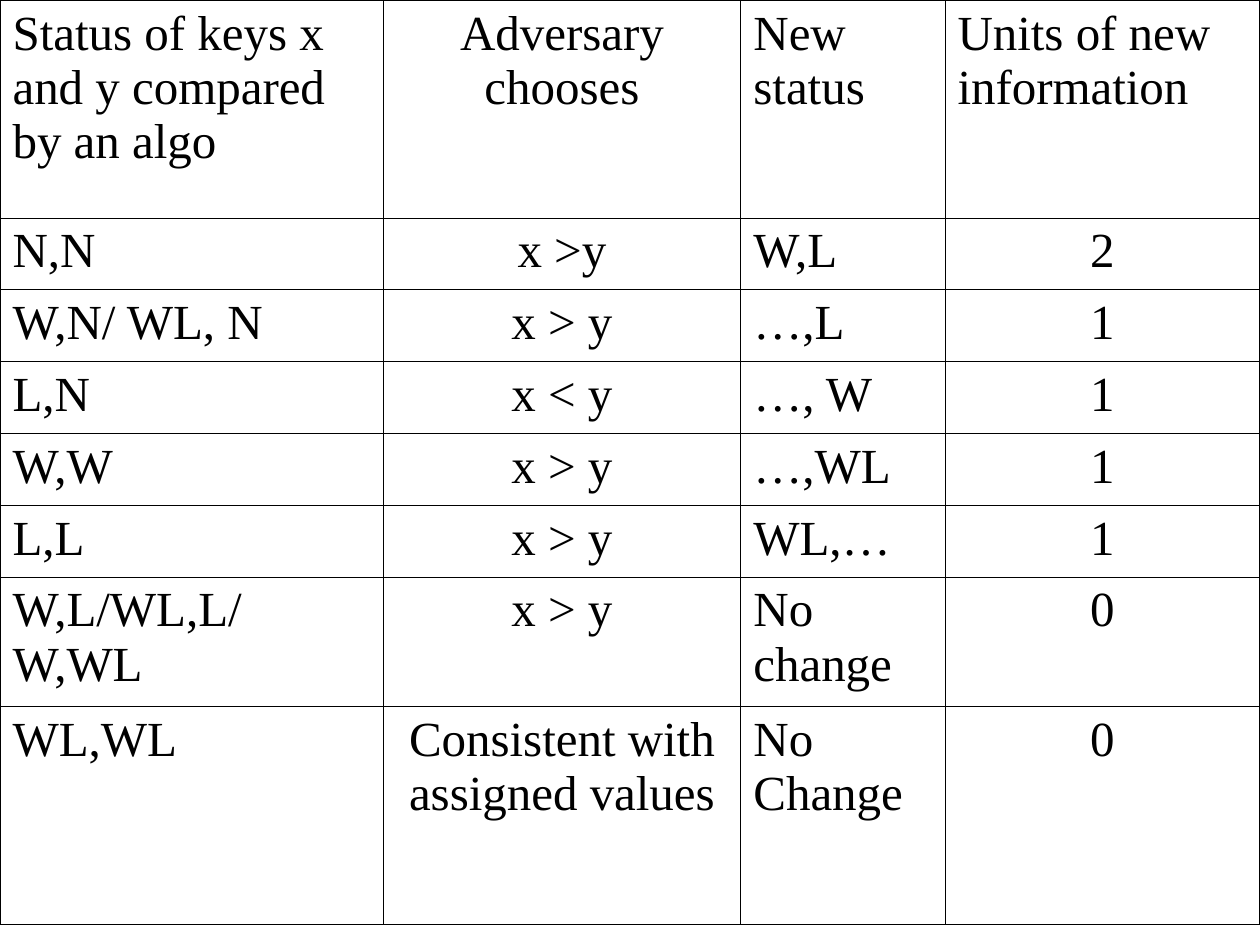
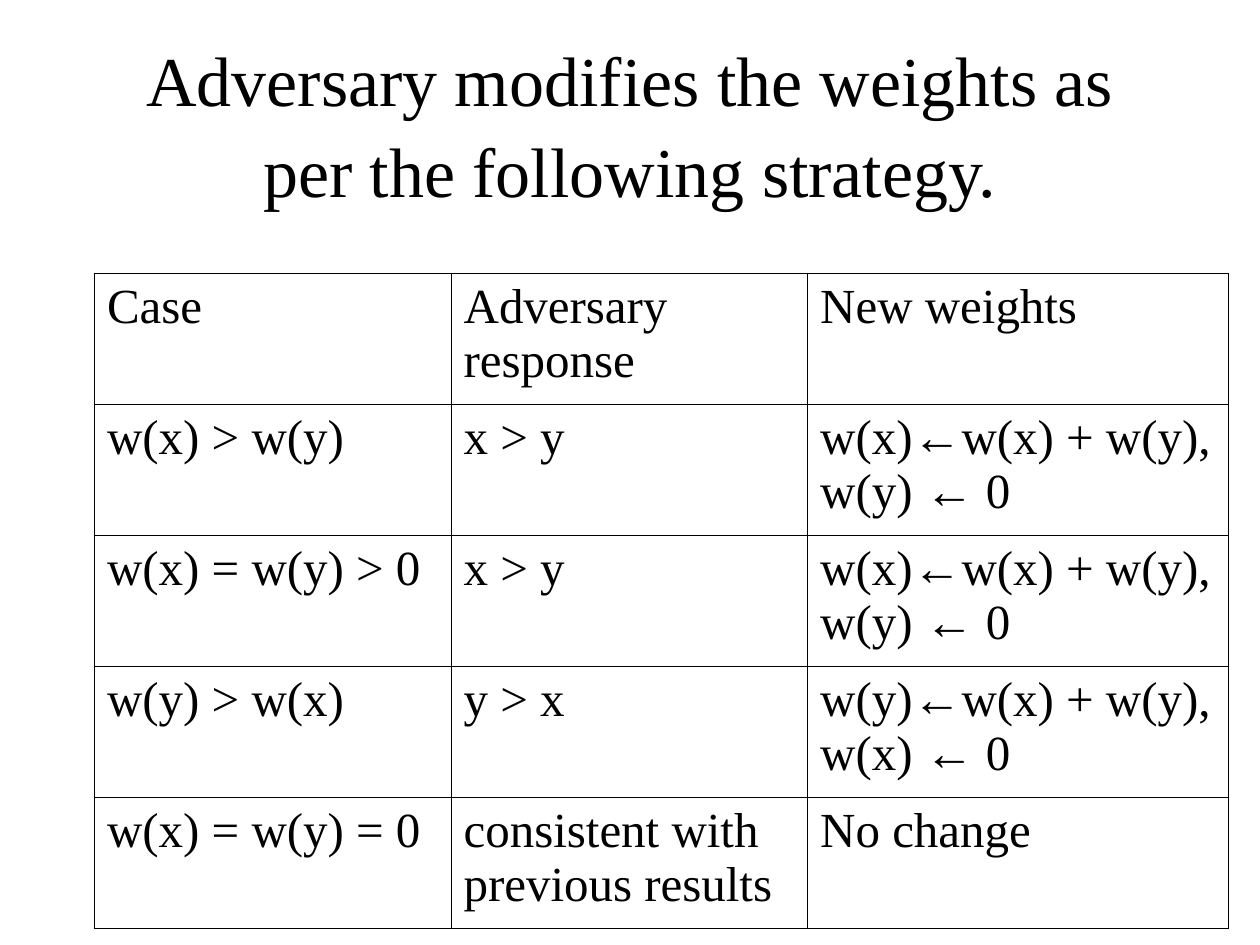
from dataclasses import dataclass, field
from typing import Any

from pptx import Presentation
from pptx.dml.color import RGBColor
from pptx.enum.text import MSO_ANCHOR as Anchor, MSO_AUTO_SIZE as AutoSize, PP_ALIGN as Align
from pptx.oxml import parse_xml
from pptx.oxml.ns import nsdecls
from pptx.util import Inches, Pt


@dataclass(frozen=True)
class Theme:
    ink: str = "000000"
    paper: str = "FFFFFF"
    outer_rule: float = 1.08
    inner_rule: float = 0.45
    title_font: dict[str, Any] = field(
        default_factory=lambda: {"name": "Times New Roman", "size": Pt(40), "bold": False})
    cell_font: dict[str, Any] = field(
        default_factory=lambda: {"name": "Times New Roman", "size": Pt(28), "bold": False})


@dataclass(frozen=True)
class Grid:
    left: float
    top: float
    columns: list[float]
    heights: list[float]
    rows: list[tuple[str, ...]]
    centred: frozenset[int] = frozenset()
    left_headings: frozenset[int] = frozenset()


THEME = Theme()

STATUS_RULES = Grid(
    left=0, top=0,
    columns=[3.04, 2.84, 1.62, 2.5],
    heights=[1.73, *[0.57] * 5, 1.03, 1.73],
    rows=[
        ("Status of keys x and y compared by an algo", "Adversary chooses",
         "New status", "Units of new information"),
        ("N,N", "x >y", "W,L", "2"),
        ("W,N/ WL, N", "x > y", "…,L", "1"),
        ("L,N", "x < y", "…, W", "1"),
        ("W,W", "x > y", "…,WL", "1"),
        ("L,L", "x > y", "WL,…", "1"),
        ("W,L/WL,L/W,WL", "x > y", "No change", "0"),
        ("WL,WL", "Consistent with assigned values", "No Change", "0"),
    ],
    centred=frozenset({1, 3}),
    left_headings=frozenset({3}),
)

WEIGHT_RULES = Grid(
    left=0.75, top=2.17,
    columns=[2.83, 2.83, 3.34],
    heights=[1.04] * 5,
    rows=[
        ("Case", "Adversary response", "New weights"),
        ("w(x) > w(y)", "x > y", "w(x)←w(x) + w(y), w(y) ← 0"),
        ("w(x) = w(y) > 0", "x > y", "w(x)←w(x) + w(y), w(y) ← 0"),
        ("w(y) > w(x)", "y > x", "w(y)←w(x) + w(y), w(x) ← 0"),
        ("w(x) = w(y) = 0", "consistent with previous results", "No change"),
    ],
)


def apply_format(target: Any, values: dict[str, Any]) -> None:
    for attribute, value in values.items():
        setattr(target, attribute, value)


def write(paragraph: Any, text: str, font_values: dict[str, Any]) -> None:
    run = paragraph.add_run()
    run.text = text
    apply_format(run.font, font_values)
    run.font.color.rgb = RGBColor.from_string(THEME.ink)


def rule_cell(cell: Any, outer_sides: dict[str, bool]) -> None:
    properties = cell._tc.get_or_add_tcPr()
    for side, is_outer in outer_sides.items():
        width = Pt(THEME.outer_rule if is_outer else THEME.inner_rule)
        properties.append(parse_xml(
            f'<a:ln{side} {nsdecls("a")} w="{width}"><a:solidFill>'
            f'<a:srgbClr val="{THEME.ink}"/></a:solidFill></a:ln{side}>'))


def draw_grid(slide: Any, grid: Grid) -> None:
    last_row, last_column = len(grid.rows) - 1, len(grid.columns) - 1
    table = slide.shapes.add_table(
        len(grid.rows), len(grid.columns), Inches(grid.left), Inches(grid.top),
        Inches(sum(grid.columns)), Inches(sum(grid.heights))).table
    apply_format(table, {"first_row": False, "horz_banding": False})
    for column, width in zip(table.columns, grid.columns):
        column.width = Inches(width)
    for row, height in zip(table.rows, grid.heights):
        row.height = Inches(height)

    for r, entries in enumerate(grid.rows):
        for c, entry in enumerate(entries):
            cell = table.cell(r, c)
            rule_cell(cell, {"L": c == 0, "R": c == last_column,
                             "T": r == 0, "B": r == last_row})
            cell.fill.solid()
            cell.fill.fore_color.rgb = RGBColor.from_string(THEME.paper)
            paragraph = cell.text_frame.paragraphs[0]
            is_centred = c in grid.centred and not (r == 0 and c in grid.left_headings)
            paragraph.alignment = Align.CENTER if is_centred else Align.LEFT
            write(paragraph, entry, THEME.cell_font)


def set_title(slide: Any, heading: str) -> None:
    title = slide.shapes.title
    apply_format(title, {"left": Inches(0.75), "top": Inches(0.67),
                         "width": Inches(8.5), "height": Inches(1.25)})
    apply_format(title.text_frame, {
        "word_wrap": True, "auto_size": AutoSize.NONE,
        "vertical_anchor": Anchor.MIDDLE, "margin_bottom": Inches(0.72)})
    paragraph = title.text_frame.paragraphs[0]
    apply_format(paragraph, {"alignment": Align.CENTER, "line_spacing": 1.08})
    write(paragraph, heading, THEME.title_font)


def main() -> None:
    deck = Presentation()
    apply_format(deck, {"slide_width": Inches(10), "slide_height": Inches(7.5)})
    title_only, blank = deck.slide_layouts[5], deck.slide_layouts[6]

    draw_grid(deck.slides.add_slide(blank), STATUS_RULES)

    weights_slide = deck.slides.add_slide(title_only)
    set_title(weights_slide, "Adversary modifies the weights as per the following strategy.")
    draw_grid(weights_slide, WEIGHT_RULES)

    deck.save("out.pptx")


if __name__ == "__main__":
    main()
